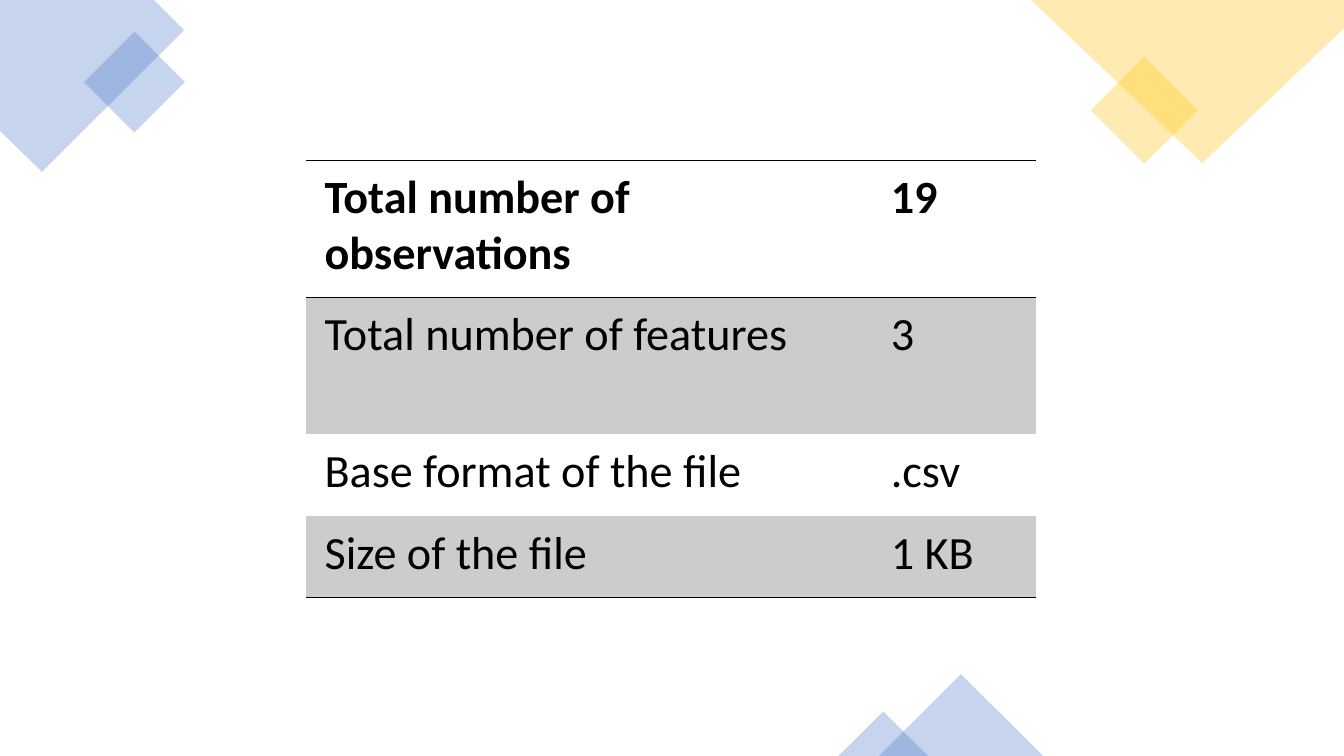
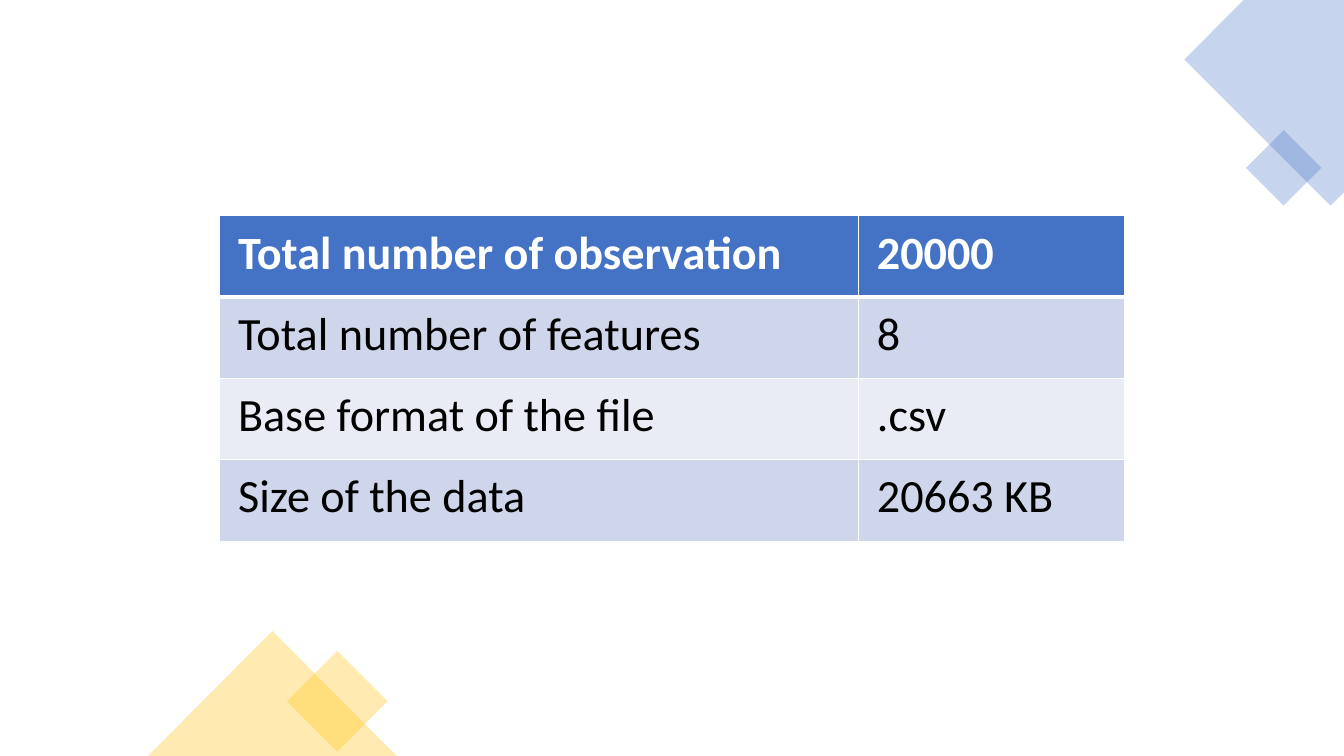
from dataclasses import dataclass

from lxml.etree import SubElement
from pptx import Presentation
from pptx.dml.color import RGBColor
from pptx.enum.shapes import MSO_SHAPE as Preset
from pptx.oxml import parse_xml
from pptx.oxml.ns import nsdecls, qn
from pptx.util import Cm, Pt

BLUE = RGBColor(0x44, 0x72, 0xC4)
GOLD = RGBColor(0xFF, 0xC0, 0x00)
BLACK = RGBColor(0x00, 0x00, 0x00)
WHITE = RGBColor(0xFF, 0xFF, 0xFF)
GREY = RGBColor(0xCC, 0xCC, 0xCC)
BAND_DARK = RGBColor(0xCF, 0xD5, 0xEA)
BAND_LIGHT = RGBColor(0xE9, 0xEB, 0xF5)

DECORATION_OPACITY = 30
CELL_FONT = {"name": "Calibri", "size": Pt(33)}
CELL_MARGINS = {
    "margin_left": Cm(0.46),
    "margin_right": Cm(0.46),
    "margin_top": Cm(0.23),
    "margin_bottom": Cm(0.23),
}


@dataclass
class TableStyle:
    header_fill: RGBColor | None
    header_text: RGBColor
    bands: tuple
    line_color: RGBColor
    row_lines: tuple
    column_line: float


PLAIN = TableStyle(None, BLACK, (GREY, None), BLACK, (1, 1, 0, 0, 1), 0)
BANDED = TableStyle(BLUE, WHITE, (BAND_DARK, BAND_LIGHT), WHITE, (1, 3, 1, 1, 1), 1)


def set_attributes(target, values):
    for name, value in values.items():
        setattr(target, name, value)


def set_fill(fill, color):
    if color is None:
        fill.background()
    else:
        fill.solid()
        fill.fore_color.rgb = color


def tint(shape, color):
    shape.shadow.inherit = False
    shape.line.fill.background()
    set_fill(shape.fill, color)
    color_element = shape.fill._xPr.find(f".//{qn('a:srgbClr')}")
    SubElement(color_element, qn("a:alpha"), val=str(DECORATION_OPACITY * 1000))


def add_diamond(slide, center_x, center_y, radius, color):
    shape = slide.shapes.add_shape(
        Preset.DIAMOND,
        Cm(center_x - radius), Cm(center_y - radius),
        Cm(2 * radius), Cm(2 * radius),
    )
    tint(shape, color)


def add_peak(slide, left, top, width, height, color):
    shape = slide.shapes.add_shape(
        Preset.ISOSCELES_TRIANGLE, Cm(left), Cm(top), Cm(width), Cm(height)
    )
    tint(shape, color)


def add_corner(slide, points, color):
    start, *others = [(Cm(x), Cm(y)) for x, y in points]
    builder = slide.shapes.build_freeform(*start)
    builder.add_line_segments(others, close=True)
    tint(builder.convert_to_shape(), color)


def set_borders(cell, widths, color):
    properties = cell._tc.get_or_add_tcPr()
    for position, (edge, width) in enumerate(widths.items()):
        paint = (
            f'<a:solidFill><a:srgbClr val="{color}"/></a:solidFill>'
            if width else "<a:noFill/>"
        )
        line = parse_xml(
            f'<a:{edge} {nsdecls("a")} w="{Pt(width)}">{paint}</a:{edge}>'
        )
        properties.insert(position, line)


def format_cell(cell, text, row, style):
    header = row == 0
    cell.text = text
    set_attributes(cell, CELL_MARGINS)
    font = cell.text_frame.paragraphs[0].runs[0].font
    set_attributes(font, {**CELL_FONT, "bold": header})
    font.color.rgb = style.header_text if header else BLACK
    band = style.bands[(row - 1) % len(style.bands)]
    set_fill(cell.fill, style.header_fill if header else band)
    widths = {
        "lnL": style.column_line,
        "lnR": style.column_line,
        "lnT": style.row_lines[row],
        "lnB": style.row_lines[row + 1],
    }
    set_borders(cell, widths, style.line_color)


def add_facts_table(slide, left, top, column_widths, row_heights, facts, style):
    table = slide.shapes.add_table(
        len(row_heights), len(column_widths), Cm(left), Cm(top),
        Cm(sum(column_widths)), Cm(sum(row_heights)),
    ).table
    set_attributes(table, {"first_row": False, "horz_banding": False})
    for column, width in zip(table.columns, column_widths):
        column.width = Cm(width)
    for index, (fact, height) in enumerate(zip(facts, row_heights)):
        table.rows[index].height = Cm(height)
        for cell, text in zip(table.rows[index].cells, fact):
            format_cell(cell, text, index, style)


def add_small_file_slide(presentation):
    slide = presentation.slides.add_slide(presentation.slide_layouts[6])
    add_corner(slide, [(0, 0), (3.88, 0), (4.64, 0.76), (1.06, 4.33), (0, 3.3)], BLUE)
    add_diamond(slide, 3.39, 2.07, 1.27, BLUE)
    add_diamond(slide, 28.84, 2.78, 1.35, GOLD)
    add_corner(slide, [(25.98, 0), (33.87, 0), (33.87, 0.71), (30.3, 4.11)], GOLD)
    add_peak(slide, 22.15, 16.99, 4.14, 2.06, BLUE)
    add_peak(slide, 21.13, 17.93, 2.26, 1.12, BLUE)
    facts = [
        ("Total number of observations", "19"),
        ("Total number of features", "3"),
        ("Base format of the file", ".csv"),
        ("Size of the file", "1 KB"),
    ]
    add_facts_table(
        slide, 7.72, 4.04, (14.27, 4.11), (3.45, 3.45, 2.06, 2.06), facts, PLAIN
    )


def add_large_file_slide(presentation):
    slide = presentation.slides.add_slide(presentation.slide_layouts[6])
    add_corner(
        slide,
        [(31.34, 0), (33.87, 0), (33.87, 4.85), (33.53, 5.18), (29.85, 1.5)],
        BLUE,
    )
    add_diamond(slide, 32.35, 4.23, 0.95, BLUE)
    add_diamond(slide, 8.5, 17.67, 1.27, GOLD)
    add_peak(slide, 3.73, 15.9, 6.27, 3.15, GOLD)
    facts = [
        ("Total number of observation", "20000"),
        ("Total number of features", "8"),
        ("Base format of the file", ".csv"),
        ("Size of the data", "20663 KB"),
    ]
    add_facts_table(slide, 5.54, 5.44, (16.1, 6.71), (2.05,) * 4, facts, BANDED)


def main():
    presentation = Presentation()
    set_attributes(
        presentation, {"slide_width": Cm(33.87), "slide_height": Cm(19.05)}
    )
    add_small_file_slide(presentation)
    add_large_file_slide(presentation)
    presentation.save("out.pptx")


if __name__ == "__main__":
    main()
